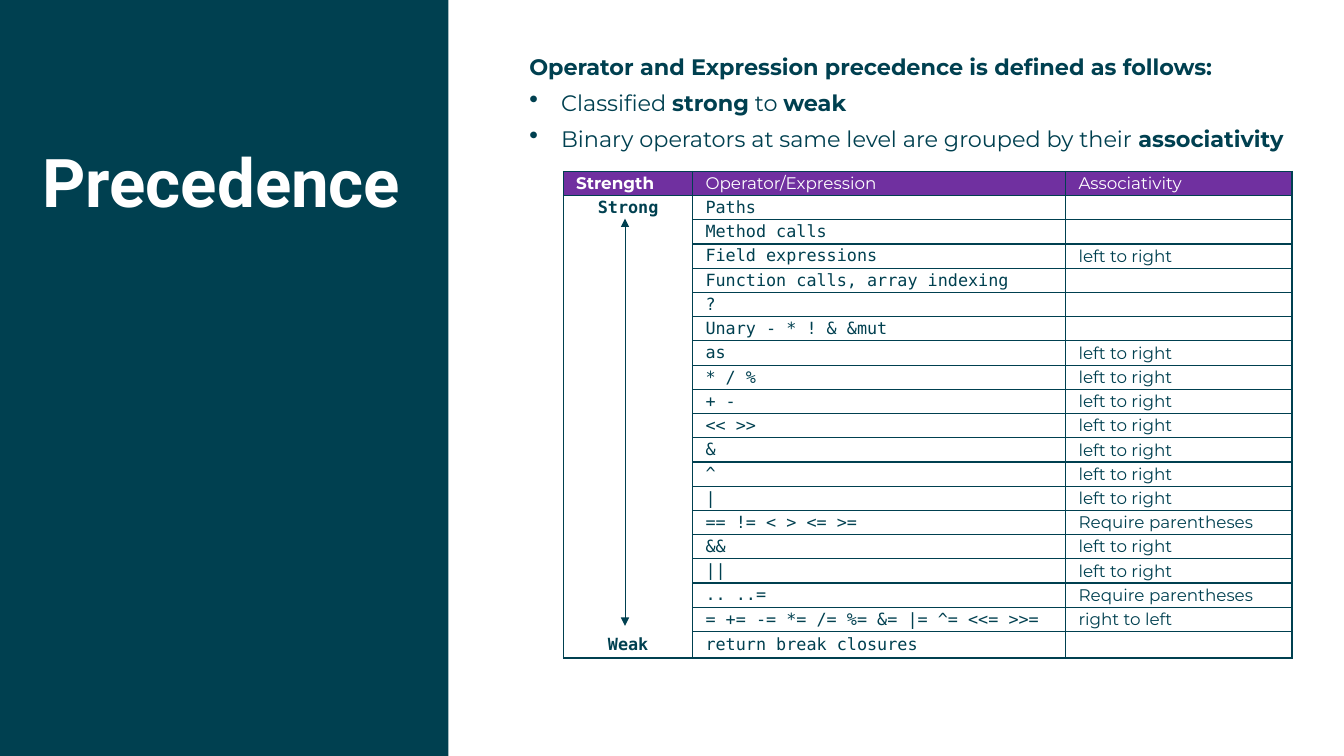
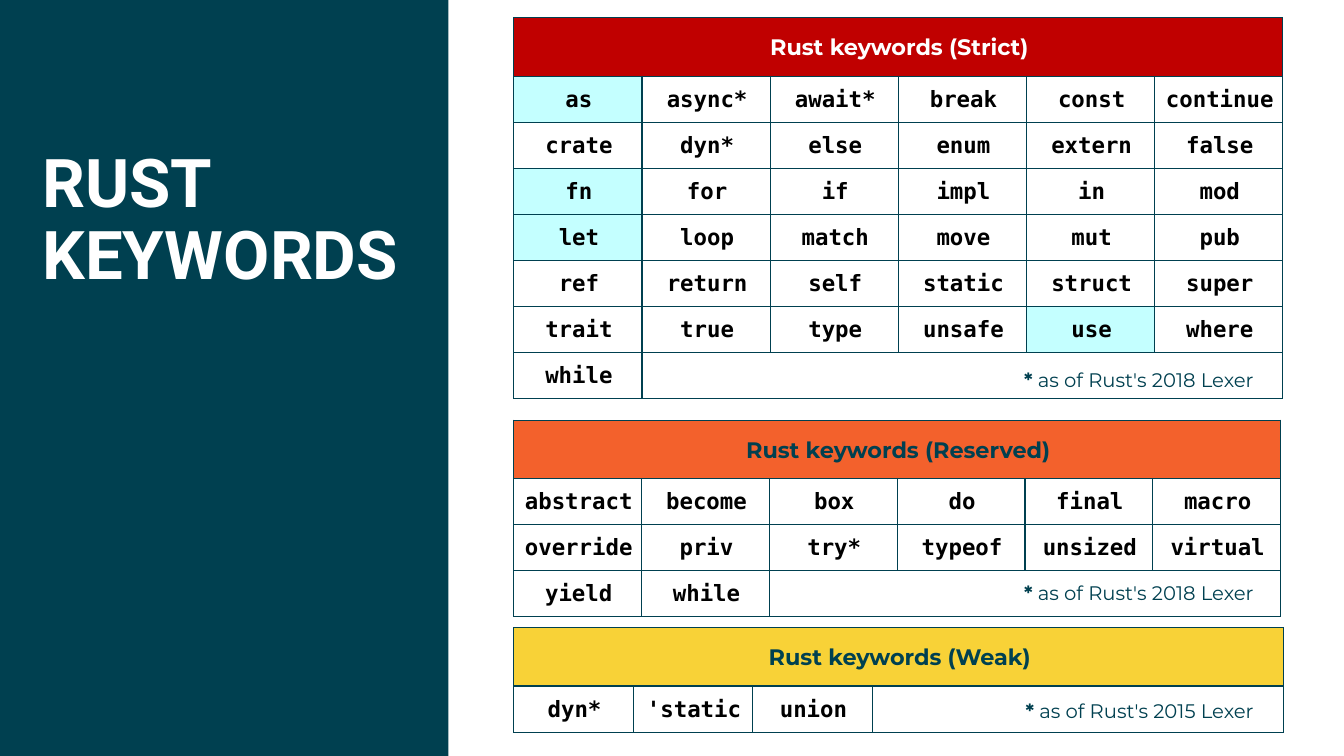
from dataclasses import dataclass, replace
from typing import NamedTuple

from lxml.etree import SubElement
from pptx import Presentation
from pptx.dml.color import RGBColor
from pptx.enum.shapes import MSO_CONNECTOR, MSO_SHAPE
from pptx.enum.text import MSO_ANCHOR, PP_ALIGN
from pptx.oxml.ns import qn
from pptx.slide import Slide
from pptx.table import _Cell
from pptx.text.text import TextFrame, _Paragraph
from pptx.util import Cm, Pt

TEAL = RGBColor(0x00, 0x40, 0x50)
WHITE = RGBColor(0xFF, 0xFF, 0xFF)
BLACK = RGBColor(0x00, 0x00, 0x00)
PURPLE = RGBColor(0x70, 0x30, 0xA0)
RED = RGBColor(0xC0, 0x00, 0x00)
ORANGE = RGBColor(0xF3, 0x61, 0x2C)
YELLOW = RGBColor(0xF8, 0xD2, 0x37)
CYAN = RGBColor(0xC4, 0xFF, 0xFF)

TITLE_FONT = "Roboto"
BODY_FONT = "Montserrat"
CODE_FONT = "DejaVu Sans Mono"

SLIDE_WIDTH, SLIDE_HEIGHT = Cm(33.87), Cm(19.05)
BAND_WIDTH = Cm(11.3)


class Style(NamedTuple):
    font: str
    size: float
    color: RGBColor
    bold: bool = False


class Insets(NamedTuple):
    """Cell margins in centimetres."""
    left: float
    top: float
    right: float
    bottom: float


@dataclass(frozen=True)
class CellContent:
    text: str
    style: Style
    insets: Insets
    centered: bool = False
    fill: RGBColor | None = None
    sides: str = "LRTB"


@dataclass(frozen=True)
class Grid:
    """A table; lengths are in centimetres."""
    left: float
    top: float
    widths: list[float]
    heights: list[float]
    rows: list[list[CellContent]]
    header_spans: bool = False


@dataclass(frozen=True)
class KeywordGroup:
    name: str
    top: float
    widths: list[float]
    header_fill: RGBColor
    header_color: RGBColor
    keywords: list[str]
    lexer_year: int
    note_top: float


TITLE = Style(TITLE_FONT, 48, WHITE, True)
INTRO = Style(BODY_FONT, 16, TEAL)
NOTE = Style(BODY_FONT, 14, TEAL)
LABEL = Style(BODY_FONT, 12, TEAL)
OPERATOR = Style(CODE_FONT, 12, TEAL)
KEYWORD = Style(CODE_FONT, 16, BLACK, True)

PRECEDENCE_INSETS = Insets(0.32, 0.05, 0.32, 0.05)
GROUP_HEADER_INSETS = Insets(0.25, 0.41, 0.2, 0.38)
KEYWORD_INSETS = Insets(0.25, 0.25, 0.2, 0.23)

LEFT_TO_RIGHT = "left to right"
PRECEDENCE = [
    ("Paths", ""),
    ("Method calls", ""),
    ("Field expressions", LEFT_TO_RIGHT),
    ("Function calls, array indexing", ""),
    ("?", ""),
    ("Unary - * ! & &mut", ""),
    ("as", LEFT_TO_RIGHT),
    ("* / %", LEFT_TO_RIGHT),
    ("+ -", LEFT_TO_RIGHT),
    ("<< >>", LEFT_TO_RIGHT),
    ("&", LEFT_TO_RIGHT),
    ("^", LEFT_TO_RIGHT),
    ("|", LEFT_TO_RIGHT),
    ("== != < > <= >=", "Require parentheses"),
    ("&&", LEFT_TO_RIGHT),
    ("||", LEFT_TO_RIGHT),
    (".. ..=", "Require parentheses"),
    ("= += -= *= /= %= &= |= ^= <<= >>=", "right to left"),
    ("return break closures", ""),
]

HIGHLIGHTED = {"as", "fn", "let", "use"}
KEYWORD_COLUMNS = 6
KEYWORD_GROUPS = [
    KeywordGroup(
        "Strict", 0.45, [3.23] * KEYWORD_COLUMNS, RED, WHITE,
        "as async* await* break const continue crate dyn* else enum extern false "
        "fn for if impl in mod let loop match move mut pub ref return self static "
        "struct super trait true type unsafe use where while".split(),
        2018, 9.27),
    KeywordGroup(
        "Reserved", 10.59, [3.22] * KEYWORD_COLUMNS, ORANGE, TEAL,
        "abstract become box do final macro override priv try* typeof unsized "
        "virtual yield while".split(),
        2018, 14.63),
    KeywordGroup(
        "Weak", 15.82, [3.01] * 5 + [4.35], YELLOW, TEAL,
        "dyn* 'static union".split(), 2015, 17.6),
]


def add_run(paragraph: _Paragraph, text: str, style: Style) -> None:
    run = paragraph.add_run()
    run.text = text
    run.font.name = style.font
    run.font.size = Pt(style.size)
    run.font.bold = style.bold
    run.font.color.rgb = style.color


def add_emphasis_runs(paragraph: _Paragraph, text: str, style: Style) -> None:
    """Write text in which every second part between bars is bold."""
    for index, part in enumerate(text.split("|")):
        if part:
            add_run(paragraph, part, style._replace(bold=index % 2 == 1))


def add_text_frame(slide: Slide, left: float, top: float, width: float, height: float) -> TextFrame:
    frame = slide.shapes.add_textbox(Cm(left), Cm(top), Cm(width), Cm(height)).text_frame
    frame.word_wrap = True
    frame.margin_left = frame.margin_top = frame.margin_right = frame.margin_bottom = 0
    return frame


def add_bullet(paragraph: _Paragraph) -> None:
    properties = paragraph._p.get_or_add_pPr()
    properties.set("marL", str(Cm(0.8)))
    properties.set("indent", str(-Cm(0.8)))
    SubElement(properties, qn("a:buSzPct")).set("val", "115000")
    SubElement(properties, qn("a:buChar")).set("char", "•")


def set_borders(cell: _Cell, sides: str) -> None:
    properties = cell._tc.get_or_add_tcPr()
    for side in "LRTB":
        line = SubElement(properties, qn(f"a:ln{side}"), w=str(Pt(1)))
        if side in sides:
            fill = SubElement(line, qn("a:solidFill"))
            SubElement(fill, qn("a:srgbClr")).set("val", str(TEAL))
        else:
            SubElement(line, qn("a:noFill"))


def fill_cell(cell: _Cell, content: CellContent) -> None:
    set_borders(cell, content.sides)
    if content.fill is None:
        cell.fill.background()
    else:
        cell.fill.solid()
        cell.fill.fore_color.rgb = content.fill
    cell.vertical_anchor = MSO_ANCHOR.MIDDLE
    cell.margin_left, cell.margin_top, cell.margin_right, cell.margin_bottom = map(Cm, content.insets)
    paragraph = cell.text_frame.paragraphs[0]
    if content.centered:
        paragraph.alignment = PP_ALIGN.CENTER
    if content.text:
        add_run(paragraph, content.text, content.style)
    else:
        # An empty cell takes its line height from the end mark.
        end_mark = SubElement(paragraph._p, qn("a:endParaRPr"), sz=str(content.style.size * 100))
        SubElement(end_mark, qn("a:latin")).set("typeface", content.style.font)


def draw_grid(slide: Slide, grid: Grid) -> None:
    table = slide.shapes.add_table(
        len(grid.heights), len(grid.widths), Cm(grid.left), Cm(grid.top),
        Cm(sum(grid.widths)), Cm(sum(grid.heights))).table
    table.first_row = table.horz_banding = False
    for column, width in zip(table.columns, grid.widths):
        column.width = Cm(width)
    for row, height in zip(table.rows, grid.heights):
        row.height = Cm(height)
    if grid.header_spans:
        table.cell(0, 0).merge(table.cell(0, len(grid.widths) - 1))
    for row, contents in zip(table.rows, grid.rows):
        for cell, content in zip(row.cells, contents):
            fill_cell(cell, content)


def add_titled_slide(presentation: Presentation, title: str) -> Slide:
    slide = presentation.slides.add_slide(presentation.slide_layouts[6])
    band = slide.shapes.add_shape(MSO_SHAPE.RECTANGLE, 0, 0, BAND_WIDTH, SLIDE_HEIGHT)
    band.shadow.inherit = False
    band.fill.solid()
    band.fill.fore_color.rgb = TEAL
    band.line.fill.background()
    paragraph = add_text_frame(slide, 1.07, 3.76, 9.58, 7.65).paragraphs[0]
    paragraph.line_spacing = 0.9
    add_run(paragraph, title, TITLE)
    return slide


def add_double_arrow(slide: Slide, x: float, top: float, bottom: float) -> None:
    arrow = slide.shapes.add_connector(MSO_CONNECTOR.STRAIGHT, Cm(x), Cm(top), Cm(x), Cm(bottom))
    arrow.line.color.rgb = TEAL
    arrow.line.width = Pt(0.5)
    line = arrow.line._get_or_add_ln()
    for end in ("headEnd", "tailEnd"):
        SubElement(line, qn(f"a:{end}")).set("type", "triangle")
    SubElement(arrow._element.spPr, qn("a:effectLst"))


def precedence_rows() -> list[list[CellContent]]:
    header = CellContent("", LABEL._replace(color=WHITE), PRECEDENCE_INSETS, fill=PURPLE)
    rows = [[
        replace(header, text="Strength", style=header.style._replace(bold=True)),
        replace(header, text="Operator/Expression"),
        replace(header, text="Associativity"),
    ]]
    last = len(PRECEDENCE) - 1
    strengths = {0: ("Strong", "LRT"), last: ("Weak", "LRB")}
    for index, (operator, associativity) in enumerate(PRECEDENCE):
        strength, sides = strengths.get(index, ("", "LR"))
        rows.append([
            CellContent(strength, OPERATOR._replace(bold=True), PRECEDENCE_INSETS, True, sides=sides),
            CellContent(operator, OPERATOR, PRECEDENCE_INSETS),
            CellContent(associativity, LABEL, PRECEDENCE_INSETS),
        ])
    return rows


def build_precedence_slide(presentation: Presentation) -> None:
    slide = add_titled_slide(presentation, "Precedence")
    frame = add_text_frame(slide, 13.34, 1.35, 19.46, 16.87)
    lines = [
        "|Operator and Expression precedence is defined as follows:|",
        "Classified |strong| to |weak|",
        "Binary operators at same level are grouped by their |associativity|",
    ]
    for index, line in enumerate(lines):
        paragraph = frame.add_paragraph() if index else frame.paragraphs[0]
        if index:
            add_bullet(paragraph)
        paragraph.space_after = Pt(6.5)
        add_emphasis_runs(paragraph, line, INTRO)
    heights = [0.61] * len(PRECEDENCE) + [0.67]
    draw_grid(slide, Grid(14.2, 4.32, [3.26, 9.4, 5.7], heights, precedence_rows()))
    add_double_arrow(slide, 15.75, 5.51, 15.77)


def keyword_rows(group: KeywordGroup) -> list[list[CellContent]]:
    header_style = Style(BODY_FONT, 16, group.header_color, True)
    header = CellContent("", header_style, GROUP_HEADER_INSETS, True, group.header_fill)
    rows = [[replace(header, text=f"Rust keywords ({group.name})")] + [header] * (KEYWORD_COLUMNS - 1)]
    for start in range(0, len(group.keywords), KEYWORD_COLUMNS):
        words = group.keywords[start:start + KEYWORD_COLUMNS]
        row = [CellContent(word, KEYWORD, KEYWORD_INSETS, True, CYAN if word in HIGHLIGHTED else None)
               for word in words]
        for column in range(len(words), KEYWORD_COLUMNS):
            sides = "TB" + "L" * (column == len(words)) + "R" * (column == KEYWORD_COLUMNS - 1)
            row.append(CellContent("", KEYWORD, KEYWORD_INSETS, sides=sides))
        rows.append(row)
    return rows


def build_keywords_slide(presentation: Presentation) -> None:
    slide = add_titled_slide(presentation, "RUST KEYWORDS")
    for group in KEYWORD_GROUPS:
        rows = keyword_rows(group)
        heights = [1.46] + [1.16] * (len(rows) - 1)
        draw_grid(slide, Grid(12.95, group.top, group.widths, heights, rows, header_spans=True))
        paragraph = add_text_frame(slide, 25.25, group.note_top, 6.35, 0.61).paragraphs[0]
        paragraph.alignment = PP_ALIGN.RIGHT
        add_emphasis_runs(paragraph, f"|*| as of Rust's {group.lexer_year} Lexer", NOTE)


def main() -> None:
    presentation = Presentation()
    presentation.slide_width, presentation.slide_height = SLIDE_WIDTH, SLIDE_HEIGHT
    build_precedence_slide(presentation)
    build_keywords_slide(presentation)
    presentation.save("out.pptx")


if __name__ == "__main__":
    main()
